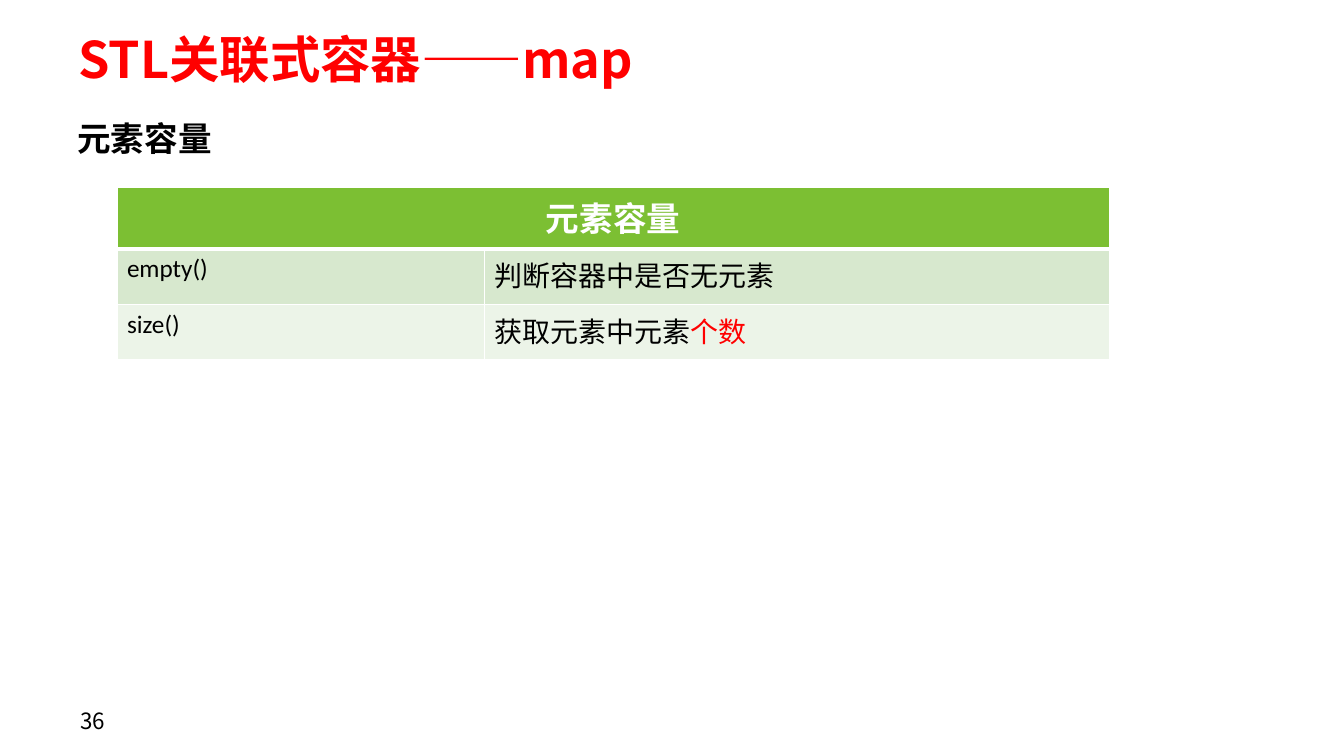
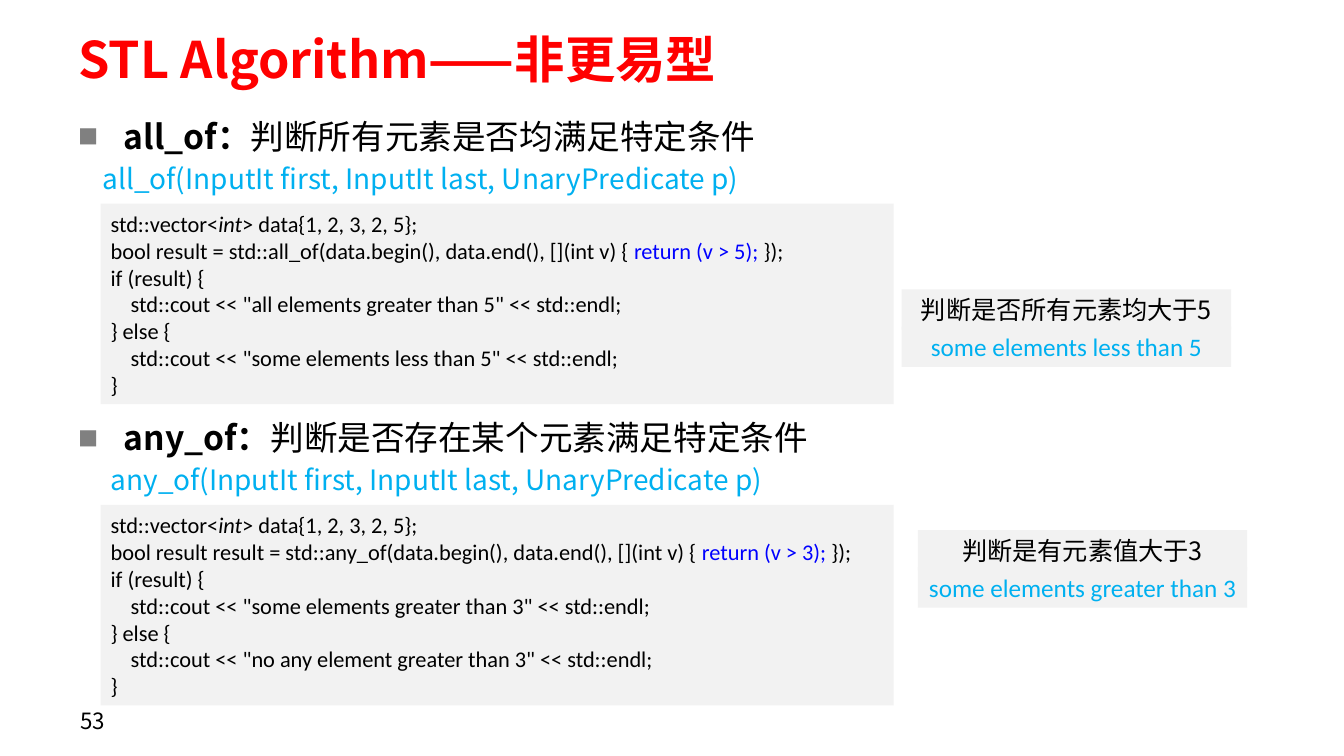
from lxml.etree import SubElement
from pptx import Presentation
from pptx.dml.color import RGBColor
from pptx.enum.shapes import MSO_SHAPE
from pptx.enum.text import MSO_ANCHOR, MSO_AUTO_SIZE, PP_ALIGN
from pptx.oxml.ns import qn
from pptx.util import Inches, Pt

WIDTH, HEIGHT = Inches(13.34), Inches(7.5)
COLORS = {"red": "FF0000", "black": "000000", "white": "FFFFFF", "gray": "808080",
          "sky": "00B0F0", "blue": "0000FF", "panel": "F2F2F2",
          "header": "7CBF33", "odd": "D7E8CE", "even": "ECF4E8"}
SANS, CODE = "Noto Sans CJK SC", "Calibri"
STYLES = {
    "title": dict(name=SANS, size=Pt(36), bold=True, color="red"),
    "number": dict(name=SANS, size=Pt(16)),
    "head": dict(name=SANS, size=Pt(24), bold=True),
    "plain": dict(name=SANS, size=Pt(24)),
    "signature": dict(name=SANS, size=Pt(20), color="sky"),
    "code": dict(name=CODE, size=Pt(16)),
    "type": dict(name=CODE, size=Pt(16), italic=True),
    "return": dict(name=CODE, size=Pt(16), color="blue"),
    "label": dict(name=SANS, size=Pt(18)),
    "result": dict(name=CODE, size=Pt(18), color="sky"),
    "table_head": dict(name=SANS, size=Pt(24), bold=True, color="white"),
    "method": dict(name=CODE, size=Pt(18)),
    "meaning": dict(name=SANS, size=Pt(20)),
    "key": dict(name=SANS, size=Pt(20), color="red"),
}
WIDE = dict(margin_left=Inches(0.13), margin_right=Inches(0.13),
            margin_top=Inches(0.07), margin_bottom=Inches(0.07))


def rgb(name):
    """Return the named colour."""
    return RGBColor.from_string(COLORS[name])


def emu(left, top, width, height):
    """Turn percentages of the slide into lengths."""
    return [round(share * side / 100) for share, side
            in zip((left, top, width, height), (WIDTH, HEIGHT) * 2)]


def set_attrs(obj, **values):
    """Set several attributes of an object."""
    for key, value in values.items():
        setattr(obj, key, value)


def write(tf, lines, align=PP_ALIGN.LEFT):
    """Write lines, each a list of (text, style) runs."""
    for i, line in enumerate(lines):
        p = tf.add_paragraph() if i else tf.paragraphs[0]
        p.alignment = align
        for text, style in line:
            r = p.add_run()
            r.text = text
            fmt = {"bold": False, "italic": False, **STYLES[style]}
            r.font.color.rgb = rgb(fmt.pop("color", "black"))
            set_attrs(r.font, **fmt)
            SubElement(r.font._element, qn("a:ea"), typeface=SANS)


def add_text(s, box, lines, wrap=True, **frame):
    """Add a text box."""
    tf = s.shapes.add_textbox(*emu(*box)).text_frame
    set_attrs(tf, word_wrap=wrap, **frame)
    write(tf, lines)
    return tf


def add_panel(s, box, lines, align=PP_ALIGN.LEFT):
    """Add a gray panel with text."""
    sp = s.shapes.add_shape(MSO_SHAPE.RECTANGLE, *emu(*box))
    sp.shadow.inherit = False
    sp.fill.solid()
    sp.fill.fore_color.rgb = rgb("panel")
    sp.line.fill.background()
    set_attrs(sp.text_frame, word_wrap=True, vertical_anchor=MSO_ANCHOR.MIDDLE)
    write(sp.text_frame, lines, align)


def add_slide(prs, title, number):
    """Add a slide with its title and page number."""
    s = prs.slides.add_slide(prs.slide_layouts[5])
    sp = s.shapes.title
    for key, value in zip(("left", "top", "width", "height"), emu(4.87, 3.73, 90.93, 7.87)):
        setattr(sp, key, value)
    set_attrs(sp.text_frame, word_wrap=True, auto_size=MSO_AUTO_SIZE.NONE,
              vertical_anchor=MSO_ANCHOR.MIDDLE, **WIDE)
    write(sp.text_frame, [[(title, "title")]])
    add_text(s, (5.02, 92.67, 23.31, 5.33), [[(number, "number")]],
             vertical_anchor=MSO_ANCHOR.MIDDLE, **WIDE)
    return s


def add_bullet(p):
    """Give a paragraph a small gray square bullet."""
    pPr = p._p.get_or_add_pPr()
    pPr.set("marL", str(Inches(0.45)))
    pPr.set("indent", str(-Inches(0.45)))
    SubElement(SubElement(pPr, qn("a:buClr")), qn("a:srgbClr"), val=COLORS["gray"])
    SubElement(pPr, qn("a:buSzPct"), val="60000")
    SubElement(pPr, qn("a:buFont"), typeface=SANS)
    SubElement(pPr, qn("a:buChar"), char="■")
    p.line_spacing = 1.4


def style_cell(cell, fill, bottom=1):
    """Give a cell white borders and a fill."""
    tcPr = cell._tc.get_or_add_tcPr()
    for side, width in zip("LRTB", (1, 1, 1, bottom)):
        ln = SubElement(tcPr, qn(f"a:ln{side}"), w=str(Pt(width)))
        SubElement(SubElement(ln, qn("a:solidFill")), qn("a:srgbClr"), val=COLORS["white"])
    cell.fill.solid()
    cell.fill.fore_color.rgb = rgb(fill)


def add_method_table(s, box, heading, rows):
    """Add a table of methods under a merged heading."""
    table = s.shapes.add_table(len(rows) + 1, 2, *emu(*box)).table
    for col, share in zip(table.columns, (0.37, 0.63)):
        col.width = round(emu(*box)[2] * share)
    for i, row in enumerate(table.rows):
        row.height = Inches(0.55 if i else 0.61)
    for cell in table.rows[0].cells:
        style_cell(cell, "header", 3)
    table.cell(0, 0).merge(table.cell(0, 1))
    write(table.cell(0, 0).text_frame, [[(heading, "table_head")]], PP_ALIGN.CENTER)
    for i, row in enumerate(rows, 1):
        for cell, runs in zip(table.rows[i].cells, row):
            style_cell(cell, "odd" if i % 2 else "even", 3 if i == 0 else 1)
            write(cell.text_frame, [runs])


def add_algorithm(s, box, name, meaning, call, limit, outputs, notes, indent, note_at):
    """Describe an algorithm: heading, signature, code and result."""
    left, top, width = box
    tf = add_text(s, (left, top, width, 8.8),
                  [[(f"{name}：", "head"), (meaning, "plain")]], **WIDE)
    add_bullet(tf.paragraphs[0])
    add_text(s, (left + indent, top + 8.4, 91.9, 5.87),
             [[(f"{name}(InputIt first, InputIt last, UnaryPredicate p)", "signature")]])
    yes, no = (f'    std::cout << "{text}" << std::endl;' for text in outputs)
    code = [[("std::vector<", "code"), ("int", "type"), ("> data{1, 2, 3, 2, 5};", "code")],
            [(f"{call} = std::{name}(data.begin(), data.end(), [](int v) {{ ", "code"),
             (f"return (v > {limit}); ", "return"), ("});", "code")]]
    code += [[(text, "code")] for text in ("if (result) {", yes, "} else {", no, "}")]
    add_panel(s, (left + 2.62, top + 14.67, 59, 26.53), code)
    dx, dy = note_at
    for i, style in ((1, "result"), (0, "label")):
        add_panel(s, (left + dx, top + dy + i * 4.93, 24.51, 5.33),
                  [[(notes[i], style)]], PP_ALIGN.CENTER)


def build_capacity(prs):
    """Build the slide on map capacity."""
    s = add_slide(prs, "STL关联式容器——map", "36")
    add_text(s, (5.02, 14.93, 11.62, 6.67), [[("元素容量", "head")]], wrap=False)
    add_method_table(s, (8.7, 24.8, 73.84, 22.8), "元素容量", [
        ([("empty()", "method")], [("判断容器中是否无元素", "meaning")]),
        ([("size()", "method")], [("获取元素中元素", "meaning"), ("个数", "key")])])


def build_algorithms(prs):
    """Build the slide on non-modifying algorithms."""
    s = add_slide(prs, "STL Algorithm——非更易型", "53")
    add_algorithm(s, (4.87, 12.27, 90.93), "all_of", "判断所有元素是否均满足特定条件",
                  "bool result", 5,
                  ("all elements greater than 5", "some elements less than 5"),
                  ("判断是否所有元素均大于5", "some elements less than 5"),
                  2.02, (62.22, 26))
    add_algorithm(s, (4.87, 52.13, 90.93), "any_of", "判断是否存在某个元素满足特定条件",
                  "bool result result", 3,
                  ("some elements greater than 3", "no any element greater than 3"),
                  ("判断是有元素值大于3", "some elements greater than 3"),
                  2.62, (63.42, 18))


def main():
    """Build and save the presentation."""
    prs = Presentation()
    set_attrs(prs, slide_width=WIDTH, slide_height=HEIGHT)
    build_capacity(prs)
    build_algorithms(prs)
    prs.save("out.pptx")


if __name__ == "__main__":
    main()
